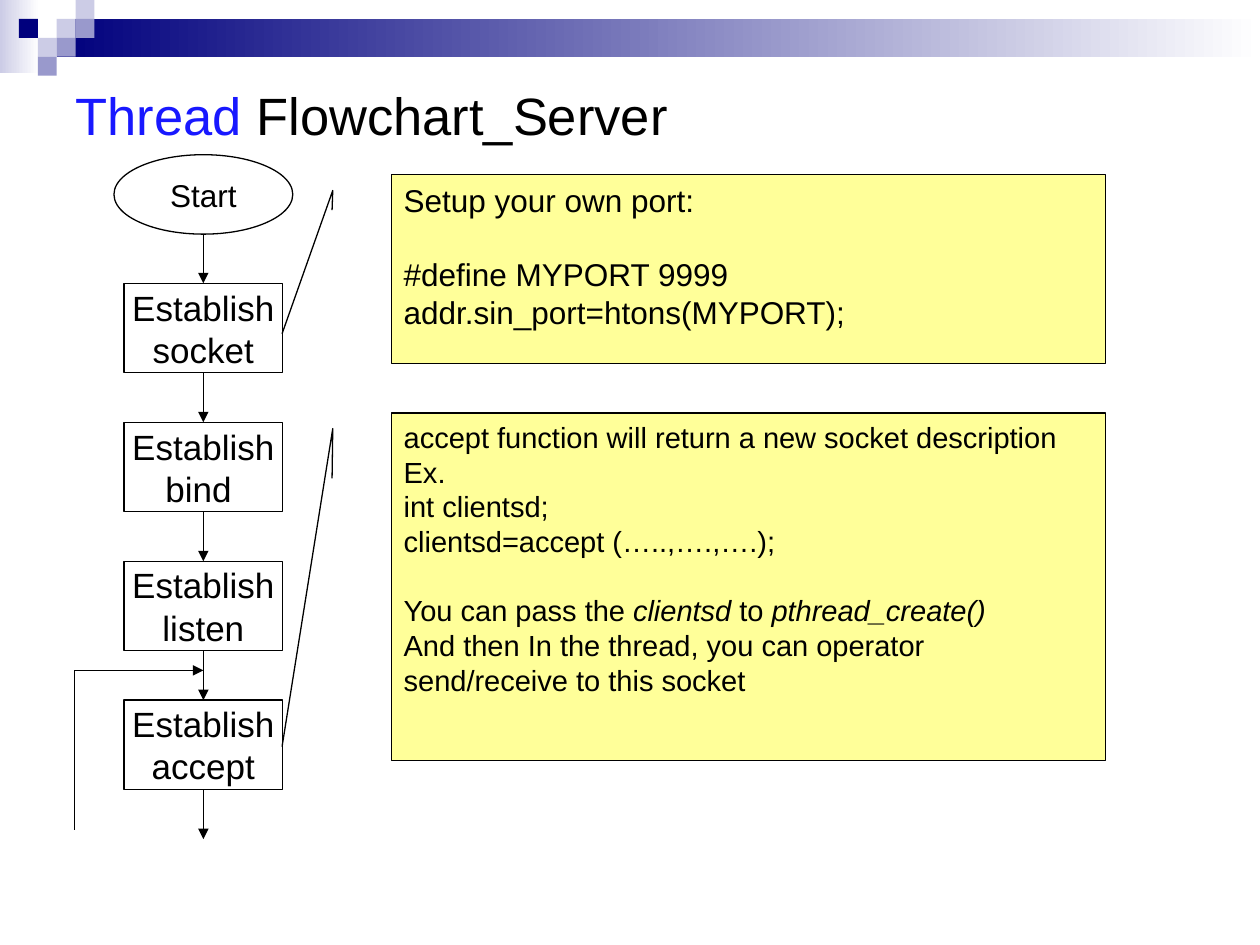
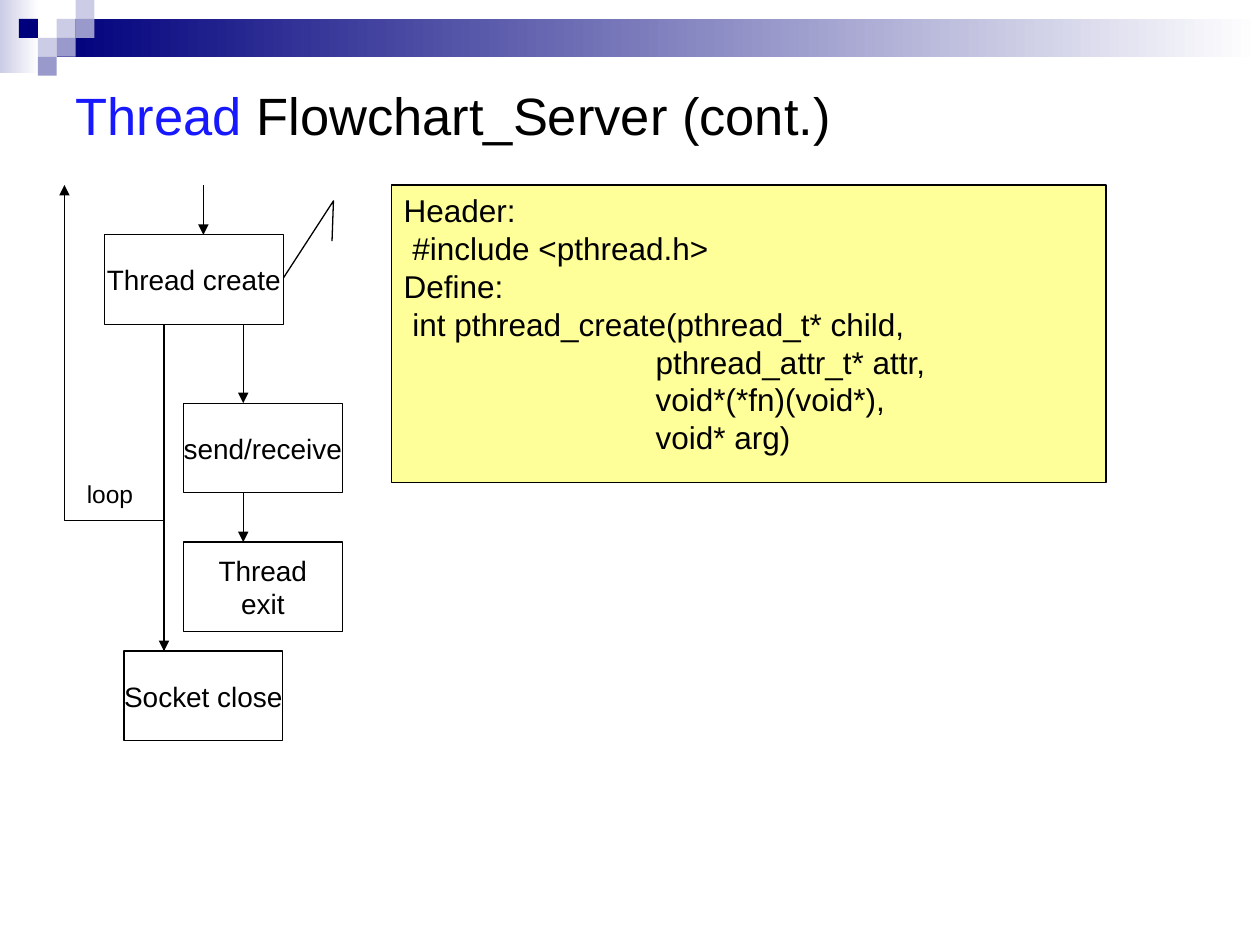
from dataclasses import dataclass

from lxml import etree
from pptx import Presentation
from pptx.dml.color import RGBColor
from pptx.enum.shapes import MSO_CONNECTOR, MSO_SHAPE
from pptx.enum.text import MSO_ANCHOR, MSO_AUTO_SIZE, PP_ALIGN
from pptx.oxml.ns import qn
from pptx.util import Pt

RECT, OVAL = MSO_SHAPE.RECTANGLE, MSO_SHAPE.OVAL
PROCESS, CALLOUT = MSO_SHAPE.FLOWCHART_PROCESS, MSO_SHAPE.LINE_CALLOUT_2
STRAIGHT, ELBOW = MSO_CONNECTOR.STRAIGHT, MSO_CONNECTOR.ELBOW
TOP, MIDDLE = MSO_ANCHOR.TOP, MSO_ANCHOR.MIDDLE
LEFT, CENTER = PP_ALIGN.LEFT, PP_ALIGN.CENTER
NO_FIT = MSO_AUTO_SIZE.NONE


@dataclass(frozen=True)
class Theme:
    font: str = "Arial"
    ink: str = "000000"
    paper: str = "FFFFFF"
    accent: str = "1818FF"
    note: str = "FFFF99"
    navy: str = "00007D"
    mid: str = "9999CC"
    pale: str = "CCCCE6"
    line: float = 0.75
    title: float = 30
    step: float = 20
    body: float = 18
    dense: float = 16.6
    small: float = 16
    label: float = 14


@dataclass(frozen=True)
class Para:
    runs: tuple
    gap: float = 0
    indent: float = 0


T = Theme()
STEP_W, STEP_H = 90.8, 51.2


# ---- Basic parts ----
def rgb(code):
    return RGBColor.from_string(code)


def set_attrs(obj, values):
    for name, value in values.items():
        setattr(obj, name, value)


def write(tf, paras, size, align=LEFT, **frame):
    """Fill a text frame; a paragraph is a string or a Para of (text, format) runs."""
    set_attrs(tf, {"word_wrap": True, "auto_size": NO_FIT, **frame})
    for i, para in enumerate(paras):
        if isinstance(para, str):
            para = Para(((para, {}),))
        p = tf.paragraphs[0] if i == 0 else tf.add_paragraph()
        set_attrs(p, {"alignment": align, "space_before": Pt(para.gap)})
        if para.indent:
            p._p.get_or_add_pPr().set("marL", str(Pt(para.indent)))
        for text, fmt in para.runs:
            r = p.add_run()
            r.text = text
            fmt = dict(fmt)
            r.font.color.rgb = rgb(fmt.pop("color", T.ink))
            set_attrs(r.font, {"name": T.font, "size": Pt(size), **fmt})


def add_box(slide, kind, box, fill, outlined=True):
    sp = slide.shapes.add_shape(kind, *map(Pt, box))
    sp.shadow.inherit = False
    if isinstance(fill, tuple):
        sp.fill.gradient()
        sp.fill.gradient_angle = 0
        for stop, code in zip(sp.fill.gradient_stops, fill):
            stop.color.rgb = rgb(code)
    else:
        sp.fill.solid()
        sp.fill.fore_color.rgb = rgb(fill)
    if outlined:
        sp.line.color.rgb = rgb(T.ink)
        sp.line.width = Pt(T.line)
    else:
        sp.line.fill.background()
    return sp


def add_step(slide, box, lines, size, kind=PROCESS):
    sp = add_box(slide, kind, box, T.paper)
    write(sp.text_frame, lines, size, CENTER, word_wrap=False, vertical_anchor=MIDDLE)


def add_line(slide, x1, y1, x2, y2, arrow=True, kind=STRAIGHT):
    cxn = slide.shapes.add_connector(kind, *map(Pt, (x1, y1, x2, y2)))
    cxn.line.color.rgb = rgb(T.ink)
    cxn.line.width = Pt(T.line)
    if arrow:
        etree.SubElement(cxn.line._get_or_add_ln(), qn("a:tailEnd"), type="triangle")
    etree.SubElement(cxn.element.spPr, qn("a:effectLst"))
    return cxn


def add_upward_elbow(slide, x, y, w, h, bend):
    """Elbow from the lower right to the upper left of a box, arrow pointing up."""
    cx, cy = x + w / 2, y + h / 2
    cxn = add_line(slide, cx - h / 2, cy + w / 2, cx + h / 2, cy - w / 2, kind=ELBOW)
    sppr = cxn.element.spPr
    sppr.find(qn("a:xfrm")).set("rot", str(270 * 60000))
    guides = sppr.find(qn("a:prstGeom")).find(qn("a:avLst"))
    etree.SubElement(guides, qn("a:gd"), name="adj1", fmla=f"val {round(bend * 100000)}")


def add_note(slide, box, paras, size, pointer):
    """Yellow callout; pointer holds (y, x) pairs as shares of its box."""
    sp = add_box(slide, CALLOUT, box, T.note)
    for i, value in enumerate(pointer):
        sp.adjustments[i] = value
    write(sp.text_frame, paras, size, vertical_anchor=TOP)


# ---- Shared frame ----
def add_band(slide, layout, unit=10.8):
    """Draw the header band and hand it over to the layout."""
    parts = [
        add_box(slide, RECT, (0, 0, 22.4, 41.8), (T.pale, T.paper), False),
        add_box(slide, RECT, (3 * unit, unit, 687.6, 2 * unit), (T.navy, T.paper), False),
    ]
    cells = {
        T.pale: [(3, 1), (4, 0), (2, 2)],
        T.mid: [(4, 1), (3, 2), (2, 3)],
        T.navy: [(1, 1)],
    }
    for color, places in cells.items():
        for col, row in places:
            box = (col * unit, row * unit, unit, unit)
            parts.append(add_box(slide, RECT, box, color, False))
    for sp in parts:
        layout.shapes.element.append(sp.element)


def add_title(slide, rest, box=(36, 36, 648, 58.4)):
    sp = slide.shapes.title
    set_attrs(sp, dict(zip(("left", "top", "width", "height"), map(Pt, box))))
    runs = (("Thread", {"color": T.accent}), (rest, {}))
    write(sp.text_frame, [Para(runs)], T.title, vertical_anchor=MIDDLE)


# ---- Flowcharts ----
def server_flow(slide, x, y, w, h):
    pitch, first = 79.4, y + 73.5
    left = x + w - STEP_W
    mid = left + STEP_W / 2
    start_w, start_h = 102.2, 45.4
    add_step(slide, (mid - start_w / 2, y, start_w, start_h), ["Start"], T.body, OVAL)
    add_line(slide, mid, y + start_h, mid, first)
    for i, name in enumerate(("socket", "bind ", "listen", "accept")):
        top = first + i * pitch
        add_step(slide, (left, top, STEP_W, STEP_H), ["Establish", name], T.step)
        add_line(slide, mid, top + STEP_H, mid, top + pitch)
    # Loop back to accept
    back = first + 3 * pitch - 17
    add_line(slide, x, back, mid, back)
    add_line(slide, x, back, x, y + h - 5, arrow=False)


def thread_flow(slide, x, y, w, h):
    create_w, create_top = 102.2, y + 28.4
    create_end = create_top + STEP_H
    worker_x, send_top, exit_top = x + w - STEP_W, y + 124.6, y + 204
    close_x, close_top = x + 34, y + h - STEP_H
    main_x, worker_mid = x + 56.9, x + 102.2
    steps = [
        (x + 22.8, create_top, create_w, ["Thread create"]),
        (worker_x, send_top, STEP_W, ["send/receive"]),
        (worker_x, exit_top, STEP_W, ["Thread", "exit"]),
        (close_x, close_top, STEP_W, ["Socket close"]),
    ]
    for left, top, width, lines in steps:
        add_step(slide, (left, top, width, STEP_H), lines, T.small)
    for at, begin, end in [
        (close_x + STEP_W / 2, y, create_top),
        (main_x, create_end, close_top),
        (worker_mid, create_end, send_top),
        (worker_mid, send_top + STEP_H, exit_top),
    ]:
        add_line(slide, at, begin, at, end)
    # Loop back to the previous slide
    add_upward_elbow(slide, x, y, main_x - x, close_top - y, 0.28)
    label = slide.shapes.add_textbox(*map(Pt, (x + 5.7, y + 164.2, 44.6, 24.4)))
    write(label.text_frame, ["loop"], T.label)


# ---- Slides ----
def server_slide(slide):
    add_title(slide, " Flowchart_Server")
    server_flow(slide, 42.6, 88.4, 119, 391)
    port = [
        "Setup your own port:",
        Para((("#define MYPORT 9999", {}),), gap=21),
        "addr.sin_port=htons(MYPORT);",
    ]
    add_note(slide, (223.6, 99.8, 408, 108), port, T.body,
             (0.188, -0.083, 0.084, -0.082, 0.842, -0.153))
    italic = {"italic": True}
    passing = (("You can pass the ", {}), ("clientsd", italic),
               (" to ", {}), ("pthread_create()", italic))
    accept = [
        "accept function will return a new socket description",
        "Ex.",
        "int clientsd;",
        "clientsd=accept (…..,….,….);",
        Para(passing, gap=19.5),
        "And then In the thread, you can operator send/receive to this socket",
    ]
    add_note(slide, (223.6, 236, 408, 198.6), accept, T.dense,
             (0.188, -0.083, 0.045, -0.082, 0.96, -0.153))


def thread_slide(slide):
    add_title(slide, " Flowchart_Server (cont.)")
    thread_flow(slide, 36.8, 105.8, 158.8, 317.5)
    arguments = ("pthread_attr_t* attr,", "void*(*fn)(void*),", "void* arg)")
    header = [
        "Header:",
        " #include <pthread.h>",
        "Define:",
        " int pthread_create(pthread_t* child,",
        *(Para(((a, {}),), indent=144) for a in arguments),
    ]
    add_note(slide, (223.6, 105.8, 408.4, 170), header, T.body,
             (0.188, -0.083, 0.053, -0.081, 0.312, -0.151))


def main():
    prs = Presentation()
    prs.slide_width, prs.slide_height = Pt(720), Pt(540)
    layout = prs.slide_layouts.get_by_name("Title Only")
    slides = [prs.slides.add_slide(layout) for _ in range(2)]
    add_band(slides[0], layout)
    server_slide(slides[0])
    thread_slide(slides[1])
    prs.save("out.pptx")


if __name__ == "__main__":
    main()
